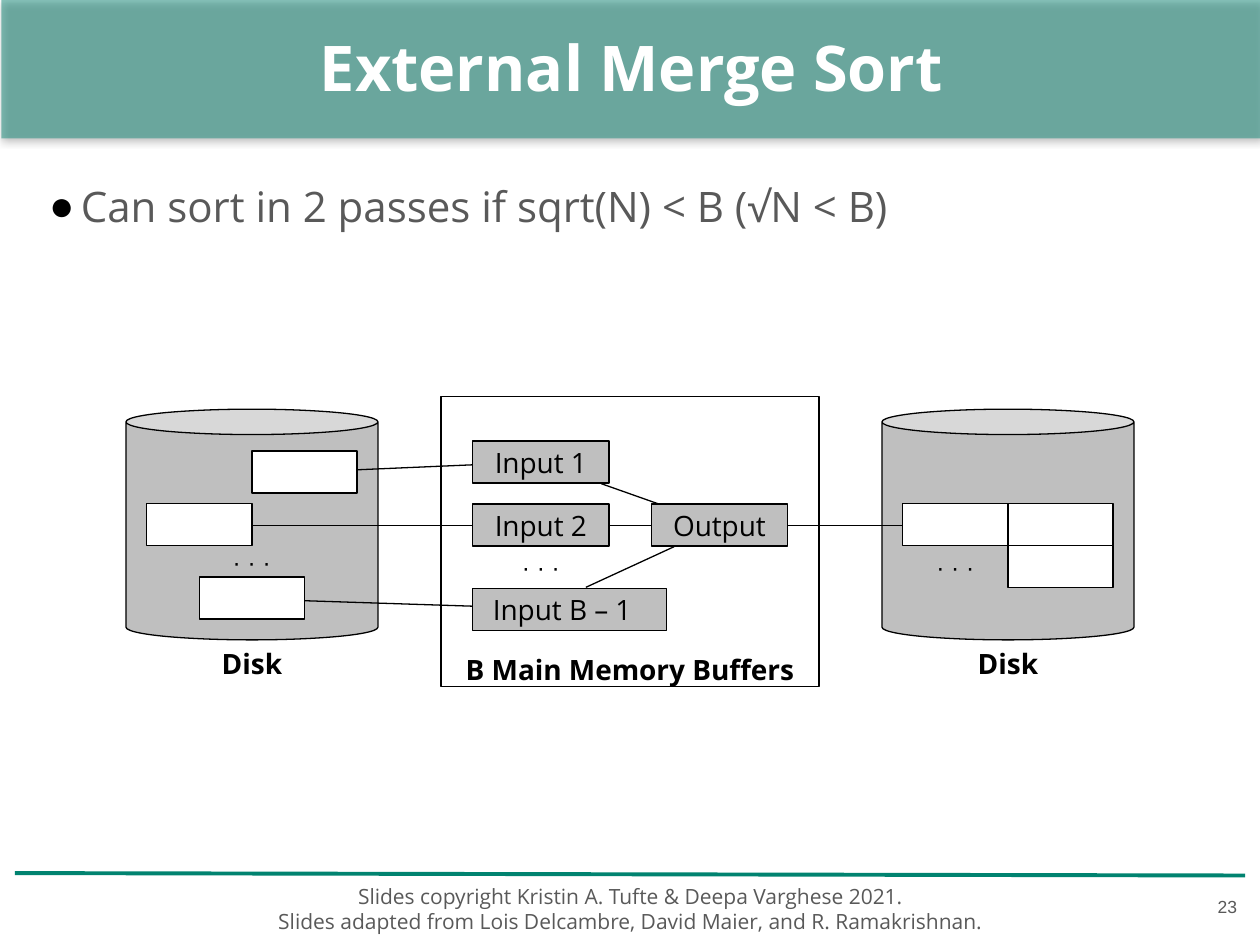
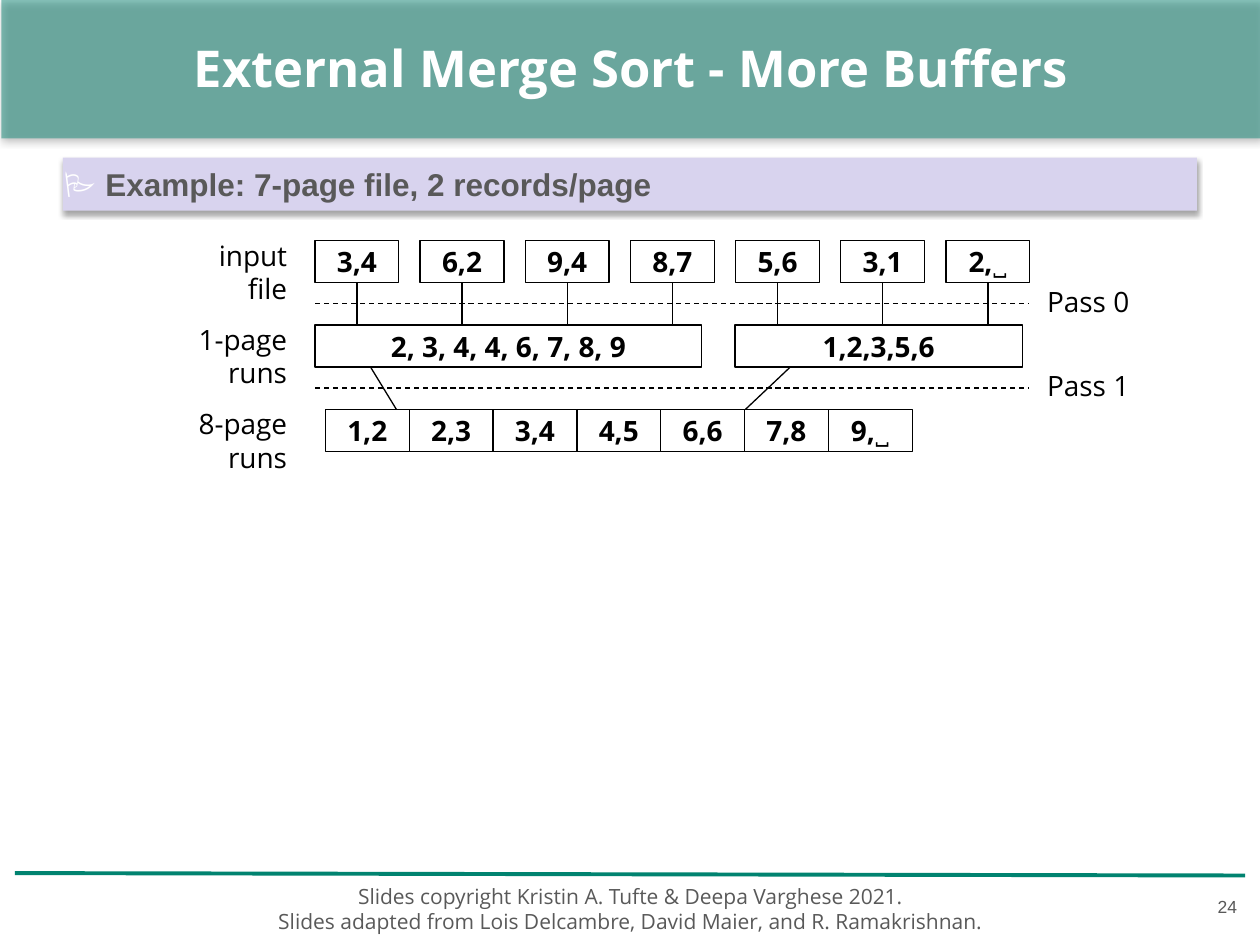
from lxml import etree
from pptx import Presentation
from pptx.dml.color import RGBColor
from pptx.enum.dml import MSO_LINE
from pptx.enum.shapes import MSO_CONNECTOR, MSO_SHAPE
from pptx.enum.text import MSO_ANCHOR as Anchor, MSO_AUTO_SIZE, PP_ALIGN as Align
from pptx.oxml.ns import qn
from pptx.util import Cm, Pt

COLORS = {
    "teal": "018370",
    "black": "000000",
    "white": "FFFFFF",
    "grey": "BFBFBF",
    "text": "595959",
    "lilac": "D8D3EE",
}
FONT = "Open Sans"
LAYOUT_BODY, LAYOUT_TITLE = 1, 5
BOX_HEIGHT = 0.85
FOOTER_LINES = (
    "Slides copyright Kristin A. Tufte & Deepa Varghese 2021.",
    "Slides adapted from Lois Delcambre, David Maier, and R. Ramakrishnan.",
)


# Shared helpers
def color(name):
    return RGBColor.from_string(COLORS[name])


def child(parent, tag, **attributes):
    element = etree.SubElement(parent, qn(tag))
    for key, value in attributes.items():
        element.set(key, str(value))
    return element


def add_run(paragraph, text, size=16, font=FONT, fill="black", bold=False):
    run = paragraph.add_run()
    run.text = text
    run.font.size = Pt(size)
    run.font.name = font
    run.font.bold = bold
    run.font.color.rgb = color(fill)


def set_frame(shape, anchor=Anchor.MIDDLE, inset=0.0):
    frame = shape.text_frame
    frame.word_wrap = True
    frame.auto_size = MSO_AUTO_SIZE.NONE
    frame.vertical_anchor = anchor
    frame.margin_left = frame.margin_right = Cm(inset)
    frame.margin_top = frame.margin_bottom = Cm(inset)
    return frame


def place(shape, left, top, width, height):
    shape.left, shape.top = Cm(left), Cm(top)
    shape.width, shape.height = Cm(width), Cm(height)


def add_text(slide, box, lines, align=Align.CENTER, anchor=Anchor.MIDDLE,
             inset=0.13, **style):
    shape = slide.shapes.add_textbox(*map(Cm, box))
    frame = set_frame(shape, anchor, inset)
    for index, line in enumerate(lines):
        paragraph = frame.add_paragraph() if index else frame.paragraphs[0]
        paragraph.alignment = align
        add_run(paragraph, line, **style)


def add_box(slide, box, fill="white", text="", kind=MSO_SHAPE.RECTANGLE,
            outline=True, anchor=Anchor.MIDDLE, bold=False):
    shape = slide.shapes.add_shape(kind, *map(Cm, box))
    shape.shadow.inherit = False
    shape.fill.solid()
    shape.fill.fore_color.rgb = color(fill)
    if outline:
        shape.line.color.rgb = color("black")
        shape.line.width = Pt(0.75)
    else:
        shape.line.fill.background()
    frame = set_frame(shape, anchor)
    if text:
        frame.paragraphs[0].alignment = Align.CENTER
        add_run(frame.paragraphs[0], text, bold=bold)
    return shape


def add_line(slide, start_x, start_y, end_x, end_y, stroke="black",
             width=0.75, dashed=False):
    line = slide.shapes.add_connector(
        MSO_CONNECTOR.STRAIGHT, Cm(start_x), Cm(start_y), Cm(end_x), Cm(end_y))
    line.line.color.rgb = color(stroke)
    line.line.width = Pt(width)
    if dashed:
        line.line.dash_style = MSO_LINE.DASH
    child(line.element.spPr, "a:effectLst")


def add_shadow(shape, opacity, blur, distance):
    effects = shape.element.spPr.find(qn("a:effectLst"))
    shadow = child(effects, "a:outerShdw", blurRad=Pt(blur), dist=Pt(distance),
                   dir=5400000, algn="t", rotWithShape=0)
    tint = child(shadow, "a:srgbClr", val=COLORS["black"])
    child(tint, "a:alpha", val=opacity * 1000)


# Title band, footer and page number
def add_frame_slide(presentation, layout, title_text, title_size, number):
    slide = presentation.slides.add_slide(presentation.slide_layouts[layout])
    title = slide.shapes.title
    place(title, 0.03, -0.05, 25.4, 2.79)
    paragraph = set_frame(title, inset=0.13).paragraphs[0]
    paragraph.alignment = Align.CENTER
    add_run(paragraph, title_text, title_size, fill="white", bold=True)

    band = add_box(slide, (0.03, 0, 25.4, 2.79), "teal", outline=False)
    tint = band.element.spPr.find(qn("a:solidFill"))[0]
    child(tint, "a:alpha", val=46000)
    add_shadow(band, 50, 4.5, 1.5)
    title.element.addprevious(band.element)

    add_line(slide, 0.3, 17.6, 25.1, 17.65, "teal", 2.25)
    add_text(slide, (1.35, 17.6, 22.73, 1.45), FOOTER_LINES, size=12, fill="text")
    add_text(slide, (23.55, 17.55, 1.52, 1.45), [str(number)], Align.RIGHT,
             size=10, font="Arial", fill="text")
    return slide


def fill_body(slide, text):
    body = slide.placeholders[1]
    place(body, 0.86, 3.71, 23.67, 12.65)
    paragraph = set_frame(body, Anchor.TOP, 0.13).paragraphs[0]
    paragraph.line_spacing = 0.8
    paragraph.space_before = Pt(0)
    add_run(paragraph, text, 24, fill="text")
    properties = paragraph._p.get_or_add_pPr()
    properties.set("marL", str(Cm(0.64)))
    properties.set("indent", str(Cm(-0.76)))
    bullet_color = child(properties, "a:buClr")
    child(bullet_color, "a:srgbClr", val=COLORS["black"])
    child(properties, "a:buChar", char="●")


def add_dots(slide, left, top, width):
    add_text(slide, (left, top, width, 0.61), ["· · ·"], inset=0,
             size=14, font="Arial")


# Disk with its pages
def draw_disk(slide, left, top, pages, dots):
    width, height = 5.08, 4.65
    disk = add_box(slide, (left, top, width, height), "grey", kind=MSO_SHAPE.CAN)
    disk.adjustments[0] = 0.11
    for page_x, page_y in pages:
        add_box(slide, (left + page_x, top + page_y, 2.12, BOX_HEIGHT))
    dots_x, dots_y, dots_width = dots
    add_dots(slide, left + dots_x, top + dots_y, dots_width)
    add_text(slide, (left, top + height, width, 0.91), ["Disk"],
             anchor=Anchor.TOP, bold=True)


# Main memory with its buffers
def draw_memory(slide, left, top):
    add_box(slide, (left, top, 7.62, 5.84), text="B Main Memory Buffers",
            anchor=Anchor.BOTTOM, bold=True)
    buffers = (
        ("Input 1", 0.64, 0.89, 2.75),
        ("Input 2", 0.64, 2.16, 2.75),
        ("Output", 4.24, 2.16, 2.75),
        ("Input B – 1", 0.64, 3.86, 3.91),
    )
    for name, buffer_x, buffer_y, width in buffers:
        buffer = add_box(slide, (left + buffer_x, top + buffer_y, width, BOX_HEIGHT),
                         "grey", name)
    buffer.text_frame.margin_right = Cm(0.3)
    add_dots(slide, left + 0.64, top + 3.12, 2.75)


def draw_sort_diagram(slide, left, top):
    draw_disk(slide, left, top + 0.25,
              ((2.54, 0.84), (0.42, 1.9), (1.48, 3.38)), (1.9, 2.77, 1.27))
    draw_memory(slide, left + 6.35, top)
    draw_disk(slide, left + 15.24, top + 0.25,
              ((2.54, 1.9), (0.42, 1.9), (2.54, 2.75)), (0.42, 2.87, 2.12))
    flows = (
        (4.67, 1.47, 6.99, 1.37),    # pages to inputs
        (2.54, 2.59, 6.99, 2.59),
        (3.61, 4.11, 6.99, 4.22),
        (9.58, 1.75, 10.74, 2.16),   # inputs to output
        (9.75, 2.59, 10.59, 2.59),
        (9.27, 3.84, 11.05, 3.02),
        (13.34, 2.59, 15.67, 2.59),  # output to disk
    )
    for start_x, start_y, end_x, end_y in flows:
        add_line(slide, left + start_x, top + start_y, left + end_x, top + end_y)


# Example heading
def draw_example_banner(slide, left, top):
    banner = add_box(slide, (left, top, 22.86, 1.07), "lilac", outline=False)
    add_shadow(banner, 35, 3, 1.8)
    paragraph = banner.text_frame.paragraphs[0]
    paragraph.alignment = Align.LEFT
    add_run(paragraph, "🏱 ", 18, "Noto Sans", "white")
    add_run(paragraph, "Example: 7-page file, 2 records/page", 18, "Arial",
            "text", True)


# Merge passes, one row of boxes per stage
def draw_merge_passes(slide, left, top):
    row_pitch, page_pitch, page_width = 1.7, 2.12, 1.69
    input_pages = ("3,4", "6,2", "9,4", "8,7", "5,6", "3,1", "2,˽")
    sorted_pages = ("1,2", "2,3", "3,4", "4,5", "6,6", "7,8", "9,˽")
    runs = (("2, 3, 4, 4, 6, 7, 8, 9", 0, 7.8), ("1,2,3,5,6", 8.47, 5.79))
    row_labels = (("input file", 2.39), ("1-page runs", 3.3), ("8-page runs", 3.3))
    run_top, sorted_top = top + row_pitch, top + 2 * row_pitch

    for index, text in enumerate(input_pages):
        page_left = left + index * page_pitch
        center = page_left + page_width / 2
        add_box(slide, (page_left, top, page_width, BOX_HEIGHT), text=text, bold=True)
        add_line(slide, center, top + BOX_HEIGHT, center, run_top)
    for text, run_x, width in runs:
        add_box(slide, (left + run_x, run_top, width, BOX_HEIGHT), text=text, bold=True)
    for index, text in enumerate(sorted_pages):
        add_box(slide, (left + 0.21 + index * page_width, sorted_top,
                        page_width, BOX_HEIGHT), text=text, bold=True)
    for start_x, end_x in ((1.12, 1.64), (9.58, 8.68)):
        add_line(slide, left + start_x, run_top + BOX_HEIGHT,
                 left + end_x, sorted_top)

    for index, (text, width) in enumerate(row_labels):
        label_top = top - 0.18 + index * row_pitch
        add_text(slide, (left - 0.43 - width, label_top, width, 0.91), [text],
                 Align.RIGHT, Anchor.TOP)
    for index in range(2):
        pass_y = top + 1.27 + index * row_pitch
        add_line(slide, left, pass_y, left + 14.4, pass_y, dashed=True)
        add_text(slide, (left + 14.63, pass_y - 0.51, 2.1, 0.91),
                 [f"Pass {index}"], Align.LEFT, Anchor.TOP)


def main():
    presentation = Presentation()
    presentation.slide_width, presentation.slide_height = Cm(25.4), Cm(19.05)

    slide = add_frame_slide(presentation, LAYOUT_BODY, "External Merge Sort", 36, 23)
    fill_body(slide, "Can sort in 2 passes if sqrt(N) < B (√N < B)")
    draw_sort_diagram(slide, 2.54, 8)

    slide = add_frame_slide(presentation, LAYOUT_TITLE,
                            "External Merge Sort - More Buffers", 29, 24)
    draw_example_banner(slide, 1.27, 3.18)
    draw_merge_passes(slide, 6.35, 4.85)

    presentation.save("out.pptx")


if __name__ == "__main__":
    main()
